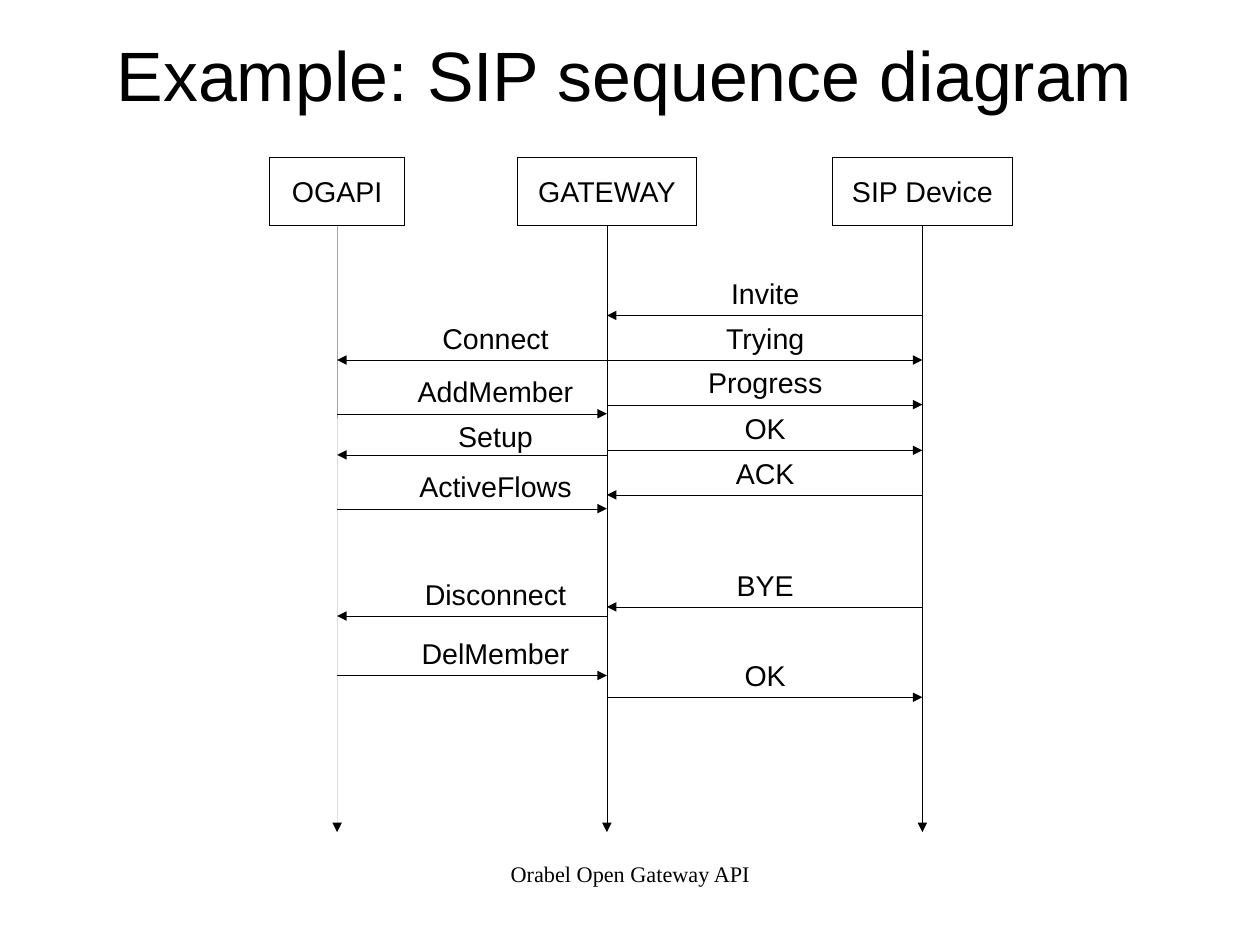
from collections import namedtuple

from lxml import etree
from pptx import Presentation
from pptx.dml.color import RGBColor
from pptx.enum.shapes import MSO_CONNECTOR, MSO_SHAPE
from pptx.enum.text import MSO_ANCHOR, MSO_AUTO_SIZE, PP_ALIGN
from pptx.oxml.ns import qn
from pptx.util import Inches, Pt

PROCESS = MSO_SHAPE.FLOWCHART_PROCESS
STRAIGHT = MSO_CONNECTOR.STRAIGHT
MIDDLE = MSO_ANCHOR.MIDDLE
TOP = MSO_ANCHOR.TOP
CENTER = PP_ALIGN.CENTER
NO_AUTOFIT = MSO_AUTO_SIZE.NONE
TITLE_ONLY = 5
BOTTOM_SIDE = 2

COLORS = {"paper": "FFFFFF", "ink": "000000"}
CM_PER_INCH = 2.54
PAGE_WIDTH, PAGE_HEIGHT = 28 / CM_PER_INCH, 21 / CM_PER_INCH

Box = namedtuple("Box", "left top width height")
TITLE_BOX = Box(0.51, 0, 9.92, 1.28)
DIAGRAM_BOX = Box(2.36, 1.38, 6.49, 5.9)
FOOTER_BOX = Box(3.77, 7.53, 3.49, 0.57)

OGAPI, GATEWAY, DEVICE = 0.59, 2.95, 5.71
PARTICIPANTS = [("OGAPI", OGAPI, 1.18), ("GATEWAY", GATEWAY, 1.57), ("SIP Device", DEVICE, 1.57)]
HEADER_HEIGHT = 0.59

LABEL_WIDTH, LABEL_HEIGHT, LABEL_INDENT = 1.97, 0.39, 0.4
LABEL_RISE, TIGHT_RISE = 0.39, 0.36
MESSAGES = [
    ("Invite", 1.38, DEVICE, GATEWAY, LABEL_RISE),
    ("Trying", 1.77, GATEWAY, DEVICE, LABEL_RISE),
    ("Connect", 1.77, GATEWAY + 0.4, OGAPI, LABEL_RISE),
    ("Progress", 2.16, GATEWAY, DEVICE, LABEL_RISE),
    ("AddMember", 2.24, OGAPI, GATEWAY, LABEL_RISE),
    ("OK", 2.56, GATEWAY, DEVICE, LABEL_RISE),
    ("Setup", 2.6, GATEWAY, OGAPI, TIGHT_RISE),
    ("ACK", 2.95, DEVICE, GATEWAY, LABEL_RISE),
    ("ActiveFlows", 3.07, OGAPI, GATEWAY, LABEL_RISE),
    ("BYE", 3.93, DEVICE, GATEWAY, LABEL_RISE),
    ("Disconnect", 4.01, GATEWAY, OGAPI, LABEL_RISE),
    ("DelMember", 4.53, OGAPI, GATEWAY, LABEL_RISE),
    ("OK", 4.72, GATEWAY, DEVICE, LABEL_RISE),
]


def color(name):
    return RGBColor.from_string(COLORS[name])


def emu(box):
    return [Inches(length) for length in box]


def write_text(frame, text, size, font="Arial", anchor=MIDDLE):
    frame.text = text
    frame.word_wrap = True
    frame.auto_size = NO_AUTOFIT
    frame.vertical_anchor = anchor
    para = frame.paragraphs[0]
    para.alignment = CENTER
    span = para.runs[0]
    span.font.size = Pt(size)
    span.font.name = font
    span.font.color.rgb = color("ink")


def clear_margins(frame):
    frame.margin_left = frame.margin_right = 0
    frame.margin_top = frame.margin_bottom = 0


def set_hairline(shape, name):
    shape.line.color.rgb = color(name)
    outline = shape._element.spPr.find(qn("a:ln"))
    outline.set("w", "0")
    return outline


def add_process(page, box, text, outline_color):
    shape = page.shapes.add_shape(PROCESS, *emu(box))
    shape.shadow.inherit = False
    shape.fill.solid()
    shape.fill.fore_color.rgb = color("paper")
    set_hairline(shape, outline_color)
    write_text(shape.text_frame, text, 18)
    return shape


def add_arrow(page, start, end):
    arrow = page.shapes.add_connector(STRAIGHT, *emu(start + end))
    outline = set_hairline(arrow, "ink")
    etree.SubElement(outline, qn("a:tailEnd"), type="triangle")
    etree.SubElement(arrow._element.spPr, qn("a:effectLst"))
    return arrow


def add_title(page, box):
    title = page.shapes.title
    title.left, title.top, title.width, title.height = emu(box)
    write_text(title.text_frame, "Example: SIP sequence diagram", 44)
    clear_margins(title.text_frame)


def add_message_labels(page, box):
    for text, drop, start, end, rise in MESSAGES:
        left = box.left + min(start, end) + LABEL_INDENT
        top = box.top + drop - rise
        add_process(page, Box(left, top, LABEL_WIDTH, LABEL_HEIGHT), text, "paper")


def add_lifelines(page, box):
    for name, offset, width in PARTICIPANTS:
        center = box.left + offset
        header_box = Box(center - width / 2, box.top, width, HEADER_HEIGHT)
        header = add_process(page, header_box, name, "ink")
        lifeline = add_arrow(page, (center, box.top + HEADER_HEIGHT), (center, box.top + box.height))
        lifeline.begin_connect(header, BOTTOM_SIDE)


def add_message_arrows(page, box):
    for text, drop, start, end, rise in MESSAGES:
        level = box.top + drop
        add_arrow(page, (box.left + start, level), (box.left + end, level))


def add_sequence_diagram(page, box):
    add_message_labels(page, box)
    add_lifelines(page, box)
    add_message_arrows(page, box)


def add_footer(page, box):
    footer = page.shapes.add_textbox(*emu(box))
    write_text(footer.text_frame, "Orabel Open Gateway API", 14, "Times New Roman", TOP)
    clear_margins(footer.text_frame)


def main():
    deck = Presentation()
    deck.slide_width, deck.slide_height = Inches(PAGE_WIDTH), Inches(PAGE_HEIGHT)
    page = deck.slides.add_slide(deck.slide_layouts[TITLE_ONLY])
    add_title(page, TITLE_BOX)
    add_sequence_diagram(page, DIAGRAM_BOX)
    add_footer(page, FOOTER_BOX)
    deck.save("out.pptx")


if __name__ == "__main__":
    main()
